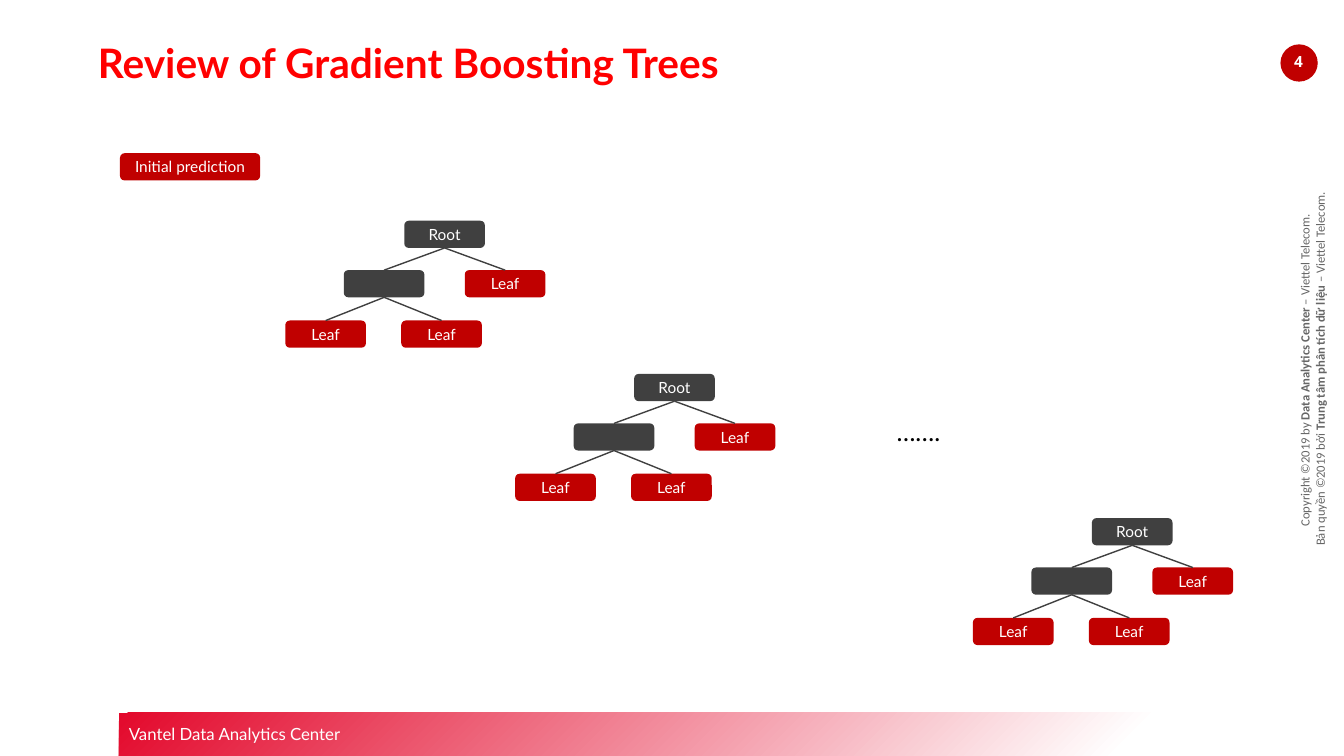
"""Build the slide that reviews gradient boosting trees."""
from dataclasses import dataclass

from lxml.etree import SubElement
from pptx import Presentation
from pptx.dml.color import RGBColor
from pptx.enum.shapes import MSO_CONNECTOR as Link, MSO_SHAPE as Shape
from pptx.enum.text import MSO_ANCHOR as Anchor, MSO_AUTO_SIZE as AutoSize, PP_ALIGN as Align
from pptx.oxml import parse_xml
from pptx.oxml.ns import nsdecls, qn
from pptx.util import Inches, Pt


@dataclass(frozen=True)
class Theme:
    """Colours, fonts and type sizes of the slide."""
    red: str = "C00000"
    dark: str = "404040"
    white: str = "FFFFFF"
    black: str = "000000"
    grey: str = "666666"
    banner: str = "E3092C"
    title_stops: tuple = ("FF0000", "262626")
    main_font: str = "Lato"
    number_font: str = "Open Sans"
    copyright_font: str = "Calibri"
    title_size: int = 29
    dots_size: int = 18
    banner_size: int = 12
    node_size: int = 11
    copyright_size: int = 9


THEME = Theme()
NODE_WIDTH, NODE_HEIGHT = 0.8, 0.27
TREE_ROOTS = [(4.01, 2.19), (6.29, 3.71), (10.83, 5.14)]
TREE_NODES = [
    ("root", "Root", THEME.dark, 0, 0, None),
    ("split", "", THEME.dark, -0.6, 0.49, "root"),
    ("right", "Leaf", THEME.red, 0.6, 0.49, "root"),
    ("low right", "Leaf", THEME.red, -0.03, 0.99, "split"),
    ("low left", "Leaf", THEME.red, -1.18, 0.99, "split"),
]
COPYRIGHT = [
    [("Copyright ©2019 by ", False), ("Data Analytics Center", True),
     (" – Viettel Telecom. ", False)],
    [("Bản quyền ©2019 bởi ", False), ("Trung tâm phân tích dữ liệu ", True),
     ("– Viettel Telecom.", False)],
]


def apply(target, formats):
    """Set every attribute in formats on target."""
    for attribute, value in formats.items():
        setattr(target, attribute, value)


def write_line(paragraph, runs, size, color, font=THEME.main_font, align=Align.CENTER):
    """Fill a paragraph with (text, bold) runs."""
    paragraph.alignment = align
    for text, bold in runs:
        run = paragraph.add_run()
        run.text = text
        apply(run.font, {"name": font, "size": Pt(size), "bold": bold})
        run.font.color.rgb = RGBColor.from_string(color)


def add_block(slide, kind, box, color):
    """Add a plain filled shape without outline or shadow."""
    block = slide.shapes.add_shape(kind, *map(Inches, box))
    block.shadow.inherit = False
    block.fill.solid()
    block.fill.fore_color.rgb = RGBColor.from_string(color)
    block.line.fill.background()
    apply(block.text_frame, {"vertical_anchor": Anchor.MIDDLE, "word_wrap": True})
    return block


def add_node(slide, label, color, left, top, width=NODE_WIDTH):
    """Add a rounded node with an optional label."""
    node = add_block(slide, Shape.ROUNDED_RECTANGLE, (left, top, width, NODE_HEIGHT), color)
    if label:
        write_line(node.text_frame.paragraphs[0], [(label, False)], THEME.node_size, THEME.white)
    return node


def add_branch(slide, parent, child):
    """Join the bottom of a parent node to the top of its child."""
    branch = slide.shapes.add_connector(Link.STRAIGHT, 0, 0, 0, 0)
    branch.begin_connect(parent, 2)
    branch.end_connect(child, 0)
    branch.line.color.rgb = RGBColor.from_string(THEME.dark)
    branch.line.width = Pt(1)
    SubElement(branch.element.spPr, qn("a:effectLst"))


def add_tree(slide, left, top):
    """Add one decision tree whose root sits at left, top."""
    nodes = {}
    for key, label, color, dx, dy, parent in TREE_NODES:
        nodes[key] = add_node(slide, label, color, left + dx, top + dy)
        if parent:
            add_branch(slide, nodes[parent], nodes[key])


def add_text(slide, box, lines, size, color, font=THEME.main_font, inset=None):
    """Add a centred text box with one paragraph per line."""
    textbox = slide.shapes.add_textbox(*map(Inches, box))
    frame = textbox.text_frame
    frame.word_wrap = True
    if inset is not None:
        apply(frame, {f"margin_{side}": inset for side in ("left", "top", "right", "bottom")})
    for index, runs in enumerate(lines):
        paragraph = frame.add_paragraph() if index else frame.paragraphs[0]
        write_line(paragraph, runs, size, color, font)
    return textbox


def format_title(slide):
    """Place the title and give it its gradient lettering."""
    title = slide.shapes.title
    box = (0.87, 0.35, 10.47, 0.56)
    apply(title, dict(zip(("left", "top", "width", "height"), map(Inches, box))))
    apply(title.text_frame, {"vertical_anchor": Anchor.TOP, "word_wrap": True,
                             "auto_size": AutoSize.NONE})
    paragraph = title.text_frame.paragraphs[0]
    write_line(paragraph, [("Review of Gradient Boosting Trees", True)],
               THEME.title_size, THEME.title_stops[0], align=Align.LEFT)
    paragraph.line_spacing = Pt(33)
    lettering = paragraph.runs[0].font.fill
    lettering.gradient()
    lettering.gradient_angle = 135
    for stop, color in zip(lettering.gradient_stops, THEME.title_stops):
        stop.color.rgb = RGBColor.from_string(color)


def add_banner(slide):
    """Add the bottom banner that fades to white on the right."""
    banner = add_block(slide, Shape.RECTANGLE, (1.18, 7.07, 12.15, 0.43), THEME.banner)
    stops = "".join(
        f'<a:gs pos="{position * 1000}"><a:srgbClr val="{color}"/></a:gs>'
        for position, color in ((0, THEME.white), (18, THEME.white), (100, THEME.banner)))
    fade = parse_xml(
        f'<a:gradFill {nsdecls("a")} rotWithShape="1"><a:gsLst>{stops}</a:gsLst>'
        '<a:path path="circle"><a:fillToRect l="100000" t="100000"/></a:path></a:gradFill>')
    properties = banner.element.spPr
    properties.replace(properties.find(qn("a:solidFill")), fade)
    write_line(banner.text_frame.paragraphs[0], [("Vantel Data Analytics Center", False)],
               THEME.banner_size, THEME.white, align=Align.LEFT)


def main():
    """Build and save the slide."""
    deck = Presentation()
    apply(deck, {"slide_width": Inches(13.33), "slide_height": Inches(7.5)})
    slide = deck.slides.add_slide(deck.slide_layouts[5])
    format_title(slide)
    add_banner(slide)
    notice = add_text(slide, (10.71, 3.46, 4.61, 0.4), COPYRIGHT,
                      THEME.copyright_size, THEME.grey, THEME.copyright_font)
    notice.rotation = 270
    add_block(slide, Shape.OVAL, (12.7, 0.44, 0.37, 0.37), THEME.red)
    add_text(slide, (12.73, 0.52, 0.3, 0.19), [[("4", True)]],
             THEME.node_size, THEME.white, THEME.number_font, inset=0)
    add_node(slide, "Initial prediction", THEME.red, 1.19, 1.52, width=1.39)
    for left, top in TREE_ROOTS:
        add_tree(slide, left, top)
    add_text(slide, (8.73, 4.08, 0.76, 0.4), [[("…….", False)]], THEME.dots_size, THEME.black)
    deck.save("out.pptx")


if __name__ == "__main__":
    main()
